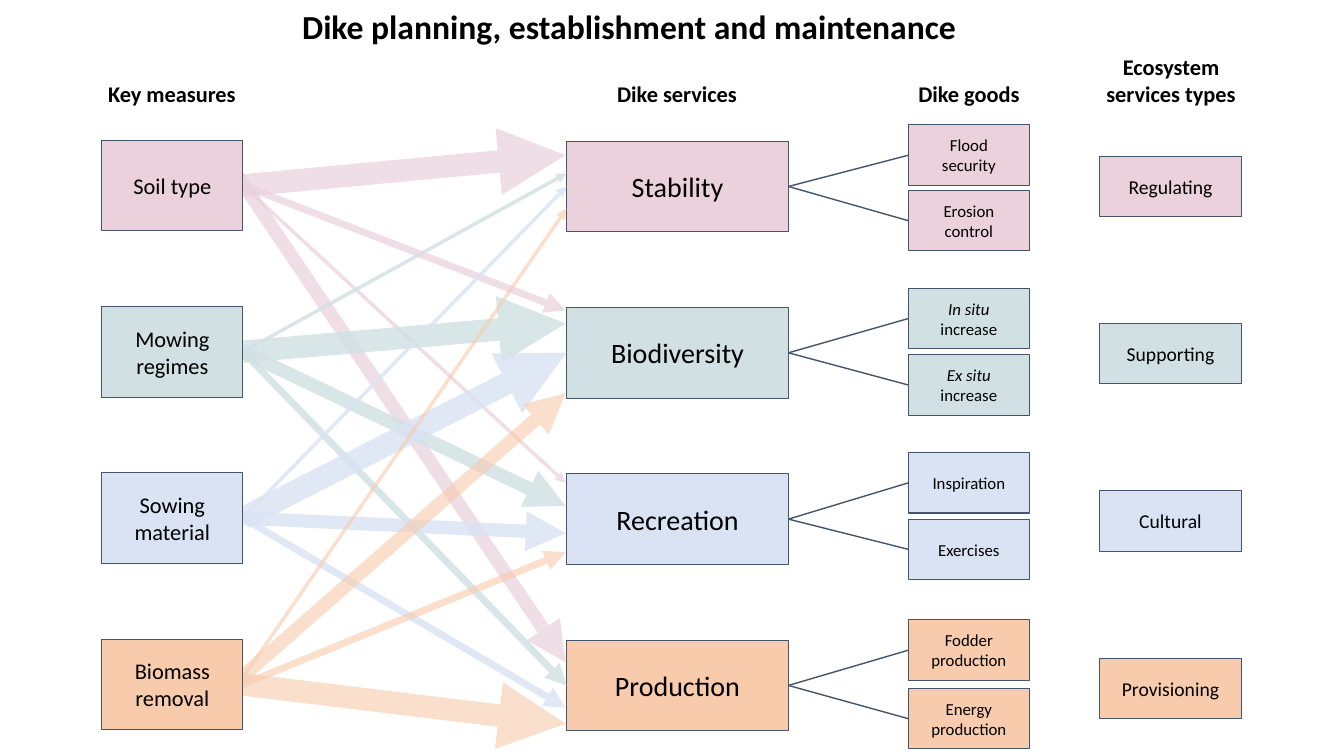
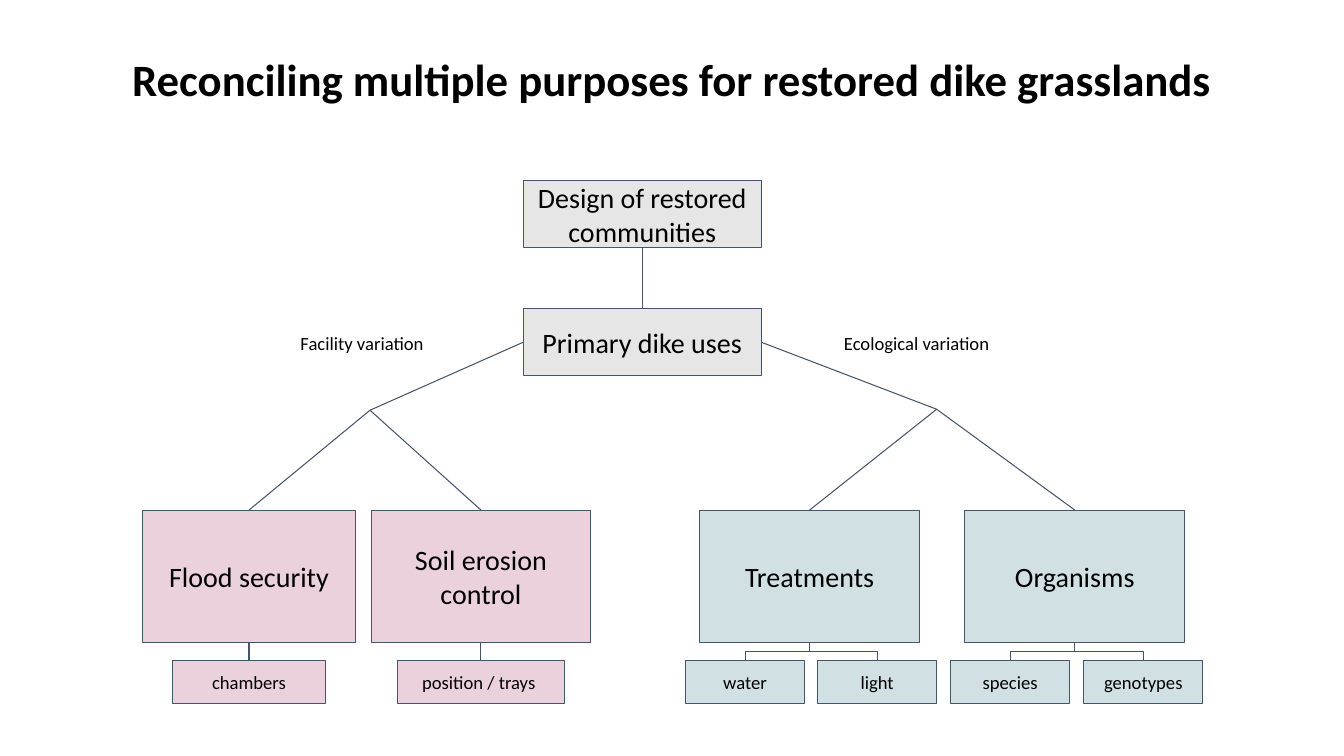
from collections import namedtuple
from lxml.etree import SubElement
from pptx import Presentation
from pptx.dml.color import RGBColor
from pptx.enum.shapes import MSO_CONNECTOR, MSO_SHAPE
from pptx.enum.text import MSO_ANCHOR, PP_ALIGN
from pptx.oxml.ns import qn
from pptx.util import Pt

PX = 9144
FONT = "Calibri"
INK = "000000"
OUTLINE = "44546A"
ROSE, TEAL, BLUE, PEACH, GREY = "EAD1DC", "D0E0E3", "DAE3F3", "F8CBAD", "E7E6E6"
ROW_COLORS = (ROSE, TEAL, BLUE, PEACH)
ROW_PITCH = 165
TOP, LEFT, BOTTOM, RIGHT = range(4)
ARROW_WEIGHTS = (16, 9.5, 5, 2.5)

Box = namedtuple("Box", "left top width height")
Flow = namedtuple("Flow", "opacity targets starts joined")
Good = namedtuple("Good", "text offset italic", defaults=("",))
Leaf = namedtuple("Leaf", "text offset width")

FLOWS = (
    Flow(70, ((561, 154), (561, 657), (561, 308), (561, 479)), {1: (234, 172)}, {}),
    Flow(80, ((561, 321), (561, 502), (562, 680), (562, 172)), {}, {}),
    Flow(80, ((562, 350), (561, 529), (561, 702), (562, 185)), {}, {0: 1, 3: 0}),
    Flow(60, ((561, 718), (561, 390), (561, 548), (562, 207)),
         {1: (227, 683), 3: (241, 672)}, {}),
)
GOODS = (
    (Good("Flood security", 0), Good("Erosion control", 65)),
    (Good("In situ increase", 162, "In situ"), Good("Ex situ increase", 228, "Ex situ ")),
    (Good("Inspiration", 325), Good("Exercises", 391)),
    (Good("Fodder production", 491), Good("Energy production", 559)),
)


def emu(px):
    return round(px * PX)


def color(value):
    return RGBColor.from_string(value)


def write_text(frame, text, size=16, bold=False, italic="", align=PP_ALIGN.CENTER,
               anchor=MSO_ANCHOR.TOP, wrap=True, inset=None):
    frame.word_wrap = wrap
    frame.vertical_anchor = anchor
    if inset is not None:
        frame.margin_left = frame.margin_right = emu(inset)
        frame.margin_top = frame.margin_bottom = emu(inset)
    paragraph = frame.paragraphs[0]
    paragraph.alignment = align
    for part, slanted in ((italic, True), (text[len(italic):], False)):
        if part:
            run = paragraph.add_run()
            run.text = part
            run.font.name = FONT
            run.font.size = Pt(size)
            run.font.bold = bold
            run.font.italic = slanted
            run.font.color.rgb = color(INK)


def add_label(slide, box, text, **style):
    label = slide.shapes.add_textbox(*map(emu, box))
    write_text(label.text_frame, text, **style)


def add_heading(slide, box, text, size=16, wrap=False):
    add_label(slide, box, text, size=size, bold=True, wrap=wrap)


def add_card(slide, box, text, fill, size, italic=""):
    card = slide.shapes.add_shape(MSO_SHAPE.RECTANGLE, *map(emu, box))
    card.shadow.inherit = False
    card.fill.solid()
    card.fill.fore_color.rgb = color(fill)
    card.line.color.rgb = color(OUTLINE)
    card.line.width = Pt(0.75)
    write_text(card.text_frame, text, size=size, italic=italic,
               anchor=MSO_ANCHOR.MIDDLE, inset=13)
    return card


def add_line(slide, start=(0, 0), end=(0, 0), source=None, target=None,
             stroke=OUTLINE, weight=0.75, kind=MSO_CONNECTOR.STRAIGHT):
    line = slide.shapes.add_connector(kind, *map(emu, (*start, *end)))
    line.line.color.rgb = color(stroke)
    line.line.width = Pt(weight)
    SubElement(line._element.spPr, qn("a:effectLst"))
    if source:
        line.begin_connect(*source)
    if target:
        line.end_connect(*target)
    return line


def add_arrow(slide, start, end, stroke, weight, opacity, target=None):
    arrow = add_line(slide, start, end, target=target, stroke=stroke, weight=weight)
    outline = arrow.line._get_or_add_ln()
    SubElement(outline.find(".//" + qn("a:srgbClr")), qn("a:alpha"), val=str(opacity * 1000))
    SubElement(outline, qn("a:tailEnd"), type="triangle")
    return arrow


def add_elbow(slide, leaf, parent):
    elbow = add_line(slide, source=(leaf, TOP), target=(parent, BOTTOM),
                     kind=MSO_CONNECTOR.ELBOW)
    leaf_x = leaf.left + leaf.width // 2
    parent_x = parent.left + parent.width // 2
    parent_y = parent.top + parent.height
    rise, run = leaf.top - parent_y, abs(parent_x - leaf_x)
    elbow.left = (leaf_x + parent_x - rise) // 2
    elbow.top = (leaf.top + parent_y - run) // 2
    elbow.width, elbow.height = rise, run
    frame = elbow._element.spPr.find(qn("a:xfrm"))
    frame.attrib.pop("flipV", None)
    frame.set("flipH", "0" if leaf_x < parent_x else "1")
    frame.set("rot", "16200000" if leaf_x < parent_x else "5400000")


def card_column(slide, box, texts, size, pitch=ROW_PITCH):
    return [add_card(slide, box._replace(top=box.top + row * pitch), text, fill, size)
            for row, (text, fill) in enumerate(zip(texts, ROW_COLORS))]


def flow_arrows(slide, box, services):
    joints = []
    for row, (flow, stroke) in enumerate(zip(FLOWS, ROW_COLORS)):
        middle = (box.left, box.top + row * ROW_PITCH)
        for rank, (end, weight) in enumerate(zip(flow.targets, ARROW_WEIGHTS)):
            target = (services[flow.joined[rank]], LEFT) if rank in flow.joined else None
            arrow = add_arrow(slide, flow.starts.get(rank, middle), end, stroke,
                              weight, flow.opacity, target)
            if rank not in flow.starts:
                joints.append((arrow, row))
    return joints


def goods_column(slide, box, services):
    pairs = [(service, add_card(slide, box._replace(top=box.top + good.offset),
                                good.text, fill, 12, good.italic))
             for service, goods, fill in zip(services, GOODS, ROW_COLORS)
             for good in goods]
    for service, card in pairs:
        add_line(slide, source=(service, RIGHT), target=(card, LEFT), weight=1)


def fork(slide, hub, side, joint, branches):
    add_line(slide, end=joint, source=(hub, side))
    for branch in branches:
        add_line(slide, start=joint, target=(branch, TOP))


def topic(slide, box, text, fill, leaves):
    parent = add_card(slide, box, text, fill, 20)
    for leaf in leaves:
        spot = Box(box.left + leaf.offset, box.top + 149, leaf.width, 43)
        child = add_card(slide, spot, leaf.text, fill, 13.3)
        if 2 * leaf.offset + leaf.width == box.width:
            add_line(slide, source=(child, TOP), target=(parent, BOTTOM))
        else:
            add_elbow(slide, child, parent)
    return parent


def services_slide(slide):
    services = card_column(slide, Box(562, 140, 220, 90),
                           ("Stability", "Biodiversity", "Recreation", "Production"), 20)
    joints = flow_arrows(slide, Box(241, 184, 321, 495), services)
    measures = card_column(slide, Box(101, 139, 140, 90),
                           ("Soil type", "Mowing regimes", "Sowing material",
                            "Biomass removal"), 16)
    for arrow, row in joints:
        arrow.begin_connect(measures[row], RIGHT)
    goods_column(slide, Box(901, 124, 120, 60), services)
    card_column(slide, Box(1091, 155, 140, 60),
                ("Regulating", "Supporting", "Cultural", "Provisioning"), 14, pitch=166)
    add_heading(slide, Box(285, 1, 678, 50),
                "Dike planning, establishment and maintenance", size=24)
    add_heading(slide, Box(602, 75, 139, 37), "Dike services")
    add_heading(slide, Box(97, 75, 147, 37), "Key measures")
    add_heading(slide, Box(897, 75, 128, 37), "Dike goods")
    add_heading(slide, Box(1086, 48, 151, 64), "Ecosystem services types", wrap=True)


def purposes_slide(slide):
    add_heading(slide, Box(117, 46, 1099, 64),
                "Reconciling multiple purposes for restored dike grasslands", size=32)
    design = add_card(slide, Box(519, 179, 236, 67), "Design of restored communities", GREY, 20)
    uses = add_card(slide, Box(519, 306, 236, 67), "Primary dike uses", GREY, 20)
    add_line(slide, source=(design, BOTTOM), target=(uses, TOP))
    facility = (
        topic(slide, Box(141, 506, 212, 131), "Flood security", ROSE,
              (Leaf("chambers", 30, 152),)),
        topic(slide, Box(368, 506, 218, 131), "Soil erosion control", ROSE,
              (Leaf("position / trays ", 26, 166),)),
    )
    ecology = (
        topic(slide, Box(694, 506, 218, 131), "Treatments", TEAL,
              (Leaf("water", -14, 118), Leaf("light", 117, 118))),
        topic(slide, Box(957, 506, 218, 131), "Organisms", TEAL,
              (Leaf("species", -14, 118), Leaf("genotypes", 118, 118))),
    )
    fork(slide, uses, LEFT, (367, 407), facility)
    fork(slide, uses, RIGHT, (929, 406), ecology)
    for left, width, text in ((285, 165, "Facility variation"),
                              (824, 212, "Ecological variation")):
        add_label(slide, Box(left, 318, width, 43), text, size=13.3,
                  align=PP_ALIGN.LEFT, inset=13)


def main():
    deck = Presentation()
    deck.slide_width, deck.slide_height = emu(1333), emu(750)
    for build in (services_slide, purposes_slide):
        build(deck.slides.add_slide(deck.slide_layouts[6]))
    deck.save("out.pptx")


if __name__ == "__main__":
    main()
